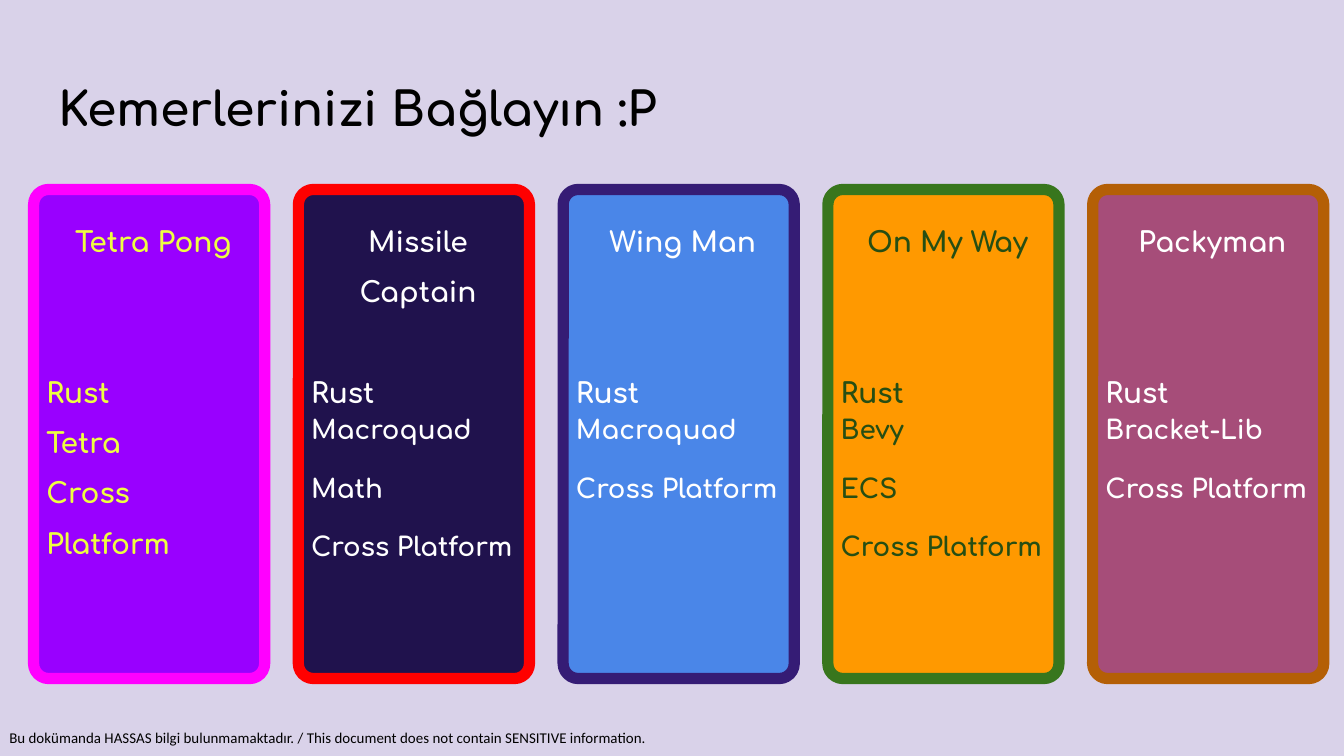
"""Build the slide of five game cards."""
from pptx import Presentation
from pptx.dml.color import RGBColor
from pptx.enum.shapes import MSO_SHAPE
from pptx.enum.text import MSO_ANCHOR, PP_ALIGN
from pptx.util import Pt

ROUNDED = MSO_SHAPE.ROUNDED_RECTANGLE
TOP = MSO_ANCHOR.TOP
LEFT, CENTER = PP_ALIGN.LEFT, PP_ALIGN.CENTER

TITLE = "Kemerlerinizi Bağlayın :P"
FOOTER = ("Bu dokümanda HASSAS bilgi bulunmamaktadır. / "
          "This document does not contain SENSITIVE information.")
CARDS = [
    {"name": "Tetra Pong", "large": ["Rust", "Tetra", "Cross Platform"], "small": [],
     "fill": "9900FF", "line": "FF00FF", "ink": "EEFF41", "name_lines": 1},
    {"name": "Missile Captain", "large": ["Rust"],
     "small": ["Macroquad", "Math", "Cross Platform"],
     "fill": "20124D", "line": "FF0000", "ink": "FFFFFF", "name_lines": 2},
    {"name": "Wing Man", "large": ["Rust"], "small": ["Macroquad", "Cross Platform"],
     "fill": "4A86E8", "line": "351C75", "ink": "FFFFFF", "name_lines": 1},
    {"name": "On My Way", "large": ["Rust"], "small": ["Bevy", "ECS", "Cross Platform"],
     "fill": "FF9900", "line": "38761D", "ink": "274E13", "name_lines": 1},
    {"name": "Packyman", "large": ["Rust"], "small": ["Bracket-Lib", "Cross Platform"],
     "fill": "A64D79", "line": "B45F06", "ink": "FFFFFF", "name_lines": 1},
]
THEME = {
    "background": "D9D2E9", "ink": "000000",
    "display": "Comfortaa", "plain": "Calibri",
    "title": 25.2, "large": 15, "small": 14, "footer": 8,
}
CARD_LEFT, CARD_TOP, CARD_WIDTH, CARD_HEIGHT = 18, 101.5, 123.8, 262
CARD_PITCH = 141.84
LINE_PITCH = 27
HEADER_LINES = 3


def color(code):
    return RGBColor.from_string(code)


def set_frame(frame, margins, wrap=True):
    frame.word_wrap = wrap
    frame.vertical_anchor = TOP
    (frame.margin_left, frame.margin_top,
     frame.margin_right, frame.margin_bottom) = map(Pt, margins)


def write(para, text, size, ink, font=THEME["display"], bold=True,
          align=LEFT, spacing=1.0, before=0):
    para.text = text
    para.alignment = align
    para.line_spacing = spacing
    para.space_before = Pt(before)
    para.font.name = font
    para.font.size = Pt(size)
    para.font.bold = bold
    para.font.color.rgb = color(ink)


def add_text(page, place, margins, text, size, wrap=True, **style):
    box = page.shapes.add_textbox(*map(Pt, place))
    set_frame(box.text_frame, margins, wrap)
    write(box.text_frame.paragraphs[0], text, size, THEME["ink"], **style)


def add_card(page, index, card):
    left = CARD_LEFT + index * CARD_PITCH
    box = page.shapes.add_shape(
        ROUNDED, Pt(left), Pt(CARD_TOP), Pt(CARD_WIDTH), Pt(CARD_HEIGHT))
    box.adjustments[0] = 0.065
    box.shadow.inherit = False
    box.fill.solid()
    box.fill.fore_color.rgb = color(card["fill"])
    box.line.color.rgb = color(card["line"])
    box.line.width = Pt(6)
    frame = box.text_frame
    set_frame(frame, (4.5, 7.2, 0, 7.2))
    write(frame.paragraphs[0], card["name"], THEME["large"], card["ink"],
          align=CENTER, spacing=1.5)
    gap = (HEADER_LINES - card["name_lines"]) * LINE_PITCH
    for row, text in enumerate(card["large"]):
        write(frame.add_paragraph(), text, THEME["large"], card["ink"],
              spacing=1.5, before=0 if row else gap)
    for row, text in enumerate(card["small"]):
        write(frame.add_paragraph(), text, THEME["small"], card["ink"],
              spacing=1.15, before=12 if row else 0)


def main():
    deck = Presentation()
    deck.slide_width, deck.slide_height = Pt(720), Pt(405)
    page = deck.slides.add_slide(deck.slide_layouts[6])
    page.background.fill.solid()
    page.background.fill.fore_color.rgb = color(THEME["background"])
    add_text(page, (5, 390.2, 343.4, 9.6), (0, 0, 0, 0), FOOTER, THEME["footer"],
             wrap=False, font=THEME["plain"], bold=False)
    add_text(page, (24.5, 35.3, 671, 45.4), (7.2, 7.2, 7.2, 7.2), TITLE, THEME["title"])
    for index, card in enumerate(CARDS):
        add_card(page, index, card)
    deck.save("out.pptx")


if __name__ == "__main__":
    main()
